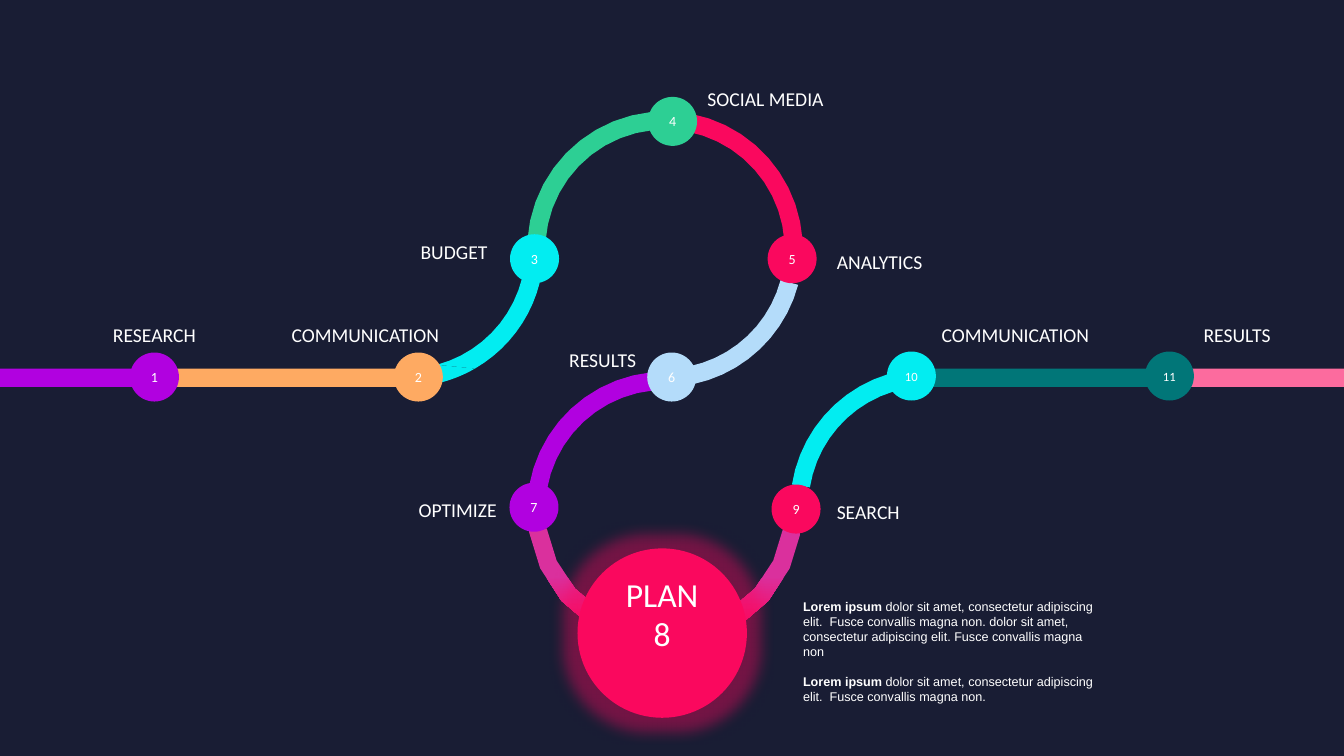
from math import cos, radians, sin

from lxml import etree
from pptx import Presentation
from pptx import util as u
from pptx.dml import color
from pptx.enum import shapes, text
from pptx.oxml import ns

Pt = u.Pt
WIDE, HIGH = 960, 540
NIGHT, WHITE = "191D34", "FFFFFF"
PURPLE, ORANGE, CYAN, GREEN = "B101E0", "FEAA62", "02EDF1", "2DCF94"
RED, SKY, TEAL, ROSE, PINK = "FA085E", "B4DCFA", "017678", "FC6B9E", "DA309D"
LEFT, MID, RIGHT = text.PP_ALIGN.LEFT, text.PP_ALIGN.CENTER, text.PP_ALIGN.RIGHT
SHIFT = {LEFT: 0, MID: 0.5, RIGHT: 1}
RADIUS, BAND, NODE, STEPS = 92, 13, 35, 10
TAG_W, TAG_H = 121, 24

BARS = [(0, 96, PURPLE), (126, 158, ORANGE), (666, 155, TEAL), (850, 110, ROSE)]
ARCS = [
    (290, 178, (60, 76), (75, 76), CYAN),
    (475, 178, (281, 356), (281, 356), RED),
    (475, 178, (15, 78), (15, 78), SKY),
    (290, 178, (14, 60), (14, 75), CYAN),
    (475, 364, (190, 264), (190, 264), PURPLE),
    (663, 361.5, (189, 253), (189, 253), CYAN),
    (475, 364, (9, 171), (9, 171), PINK),
    (475, 178, (184, 264), (184, 264), GREEN),
]
NODES = [
    ("1", 110.3, 269.3, PURPLE, "RESEARCH", 0, -42, MID),
    ("2", 298.8, 269.3, ORANGE, "COMMUNICATION", 22, -42, RIGHT),
    ("3", 381.8, 184.8, CYAN, "BUDGET", -26.5, -17, RIGHT),
    ("4", 480.4, 86.7, GREEN, "SOCIAL MEDIA", 17.8, -28.5, LEFT),
    ("5", 565.8, 184.8, RED, "ANALYTICS", 24.8, -10, LEFT),
    ("6", 479.8, 269.3, SKY, "RESULTS", -18.3, -24.5, RIGHT),
    ("7", 381.4, 362.3, PURPLE, "OPTIMIZE", -19.5, -10, RIGHT),
    ("9", 568.6, 363.6, RED, "SEARCH", 22, -10, LEFT),
    ("10", 651, 268.6, CYAN, "COMMUNICATION", 14.5, -41.5, LEFT),
    ("11", 835.3, 268.6, TEAL, "RESULTS", 17.3, -41.5, LEFT),
]
NOTES = [
    "dolor sit amet, consectetur adipiscing elit.  Fusce convallis magna non. "
    "dolor sit amet, consectetur adipiscing elit. Fusce convallis magna non",
    "dolor sit amet, consectetur adipiscing elit.  Fusce convallis magna non.",
]


def tint(part, code):
    part.rgb = color.RGBColor.from_string(code)


def paint(shape, code):
    shape.shadow.inherit = False
    shape.fill.solid()
    tint(shape.fill.fore_color, code)
    shape.line.fill.background()


def write(para, words, size, face="Calibri", bold=False):
    run = para.add_run()
    run.text = words
    run.font.size = Pt(size)
    run.font.name = face
    run.font.bold = bold
    tint(run.font.color, WHITE)


def tag(slide, box, words, size, align):
    frame = slide.shapes.add_textbox(*map(Pt, box)).text_frame
    frame.word_wrap = True
    para = frame.paragraphs[0]
    para.alignment = align
    write(para, words, size)


def disc(slide, x, y, wide, code, words, size):
    box = (x - wide / 2, y - wide / 2, wide, wide)
    shape = slide.shapes.add_shape(shapes.MSO_SHAPE.OVAL, *map(Pt, box))
    paint(shape, code)
    frame = shape.text_frame
    frame.margin_left = frame.margin_right = 0
    frame.vertical_anchor = text.MSO_ANCHOR.MIDDLE
    para = frame.paragraphs[0]
    para.alignment = MID
    write(para, words, size)
    return shape


def bar(slide, box, code):
    shape = slide.shapes.add_shape(shapes.MSO_SHAPE.RECTANGLE, *map(Pt, box))
    paint(shape, code)


def rim(x, y, reach, start, end):
    turns = [radians(start + (end - start) * i / STEPS) for i in range(STEPS + 1)]
    return [(Pt(x + reach * cos(t)), Pt(y + reach * sin(t))) for t in turns]


def arc(slide, x, y, outer, inner, code):
    dots = rim(x, y, RADIUS + BAND / 2, *outer)
    dots += rim(x, y, RADIUS - BAND / 2, *inner)[::-1]
    pen = slide.shapes.build_freeform(*dots[0])
    pen.add_line_segments(dots[1:], close=True)
    shape = pen.convert_to_shape()
    paint(shape, code)
    return shape


def fade(shape, first, last):
    shape.fill.gradient()
    shape.fill.gradient_angle = 270
    stops = shape.fill.gradient_stops
    for stop, code, place in zip(stops, (first, last), (0.4, 0.85)):
        tint(stop.color, code)
        stop.position = place


def glow(shape, code, reach):
    effect = shape._element.spPr.find(ns.qn("a:effectLst"))
    halo = etree.SubElement(effect, ns.qn("a:glow"), rad=str(Pt(reach)))
    hue = etree.SubElement(halo, ns.qn("a:srgbClr"), val=code)
    etree.SubElement(hue, ns.qn("a:alpha"), val="40000")


def track(slide):
    for row in ARCS:
        shape = arc(slide, *row)
        if row[-1] == PINK:
            fade(shape, PINK, RED)
    for x, wide, code in BARS:
        bar(slide, (x, 263.3, wide, BAND), code)


def stop(slide, mark, x, y, code, name, dx, dy, align):
    disc(slide, x, y, NODE, code, mark, 9 if len(mark) > 1 else 10)
    left = x + dx - TAG_W * SHIFT[align]
    tag(slide, (left, y + dy, min(TAG_W, WIDE - left), TAG_H), name, 14, align)


def plan(slide, x, y, wide):
    glow(disc(slide, x, y, wide, RED, "8", 24), RED, 20)
    tag(slide, (x - 40, y - 46, 80, 36), "PLAN", 24, MID)


def notes(slide, box):
    frame = slide.shapes.add_textbox(*map(Pt, box)).text_frame
    frame.word_wrap = True
    for i, words in enumerate(NOTES):
        para = frame.add_paragraph() if i else frame.paragraphs[0]
        if i:
            para.space_before = Pt(10.5)
        write(para, "Lorem ipsum ", 9, "Arial", True)
        write(para, words, 9, "Arial")


def main():
    deck = Presentation()
    deck.slide_width, deck.slide_height = Pt(WIDE), Pt(HIGH)
    slide = deck.slides.add_slide(deck.slide_layouts[6])
    bar(slide, (0, 0, WIDE, HIGH), NIGHT)
    track(slide)
    plan(slide, 473, 452.2, 121)
    for row in NODES:
        stop(slide, *row)
    notes(slide, (566.5, 424, 225.5, 84))
    deck.save("out.pptx")


if __name__ == "__main__":
    main()
